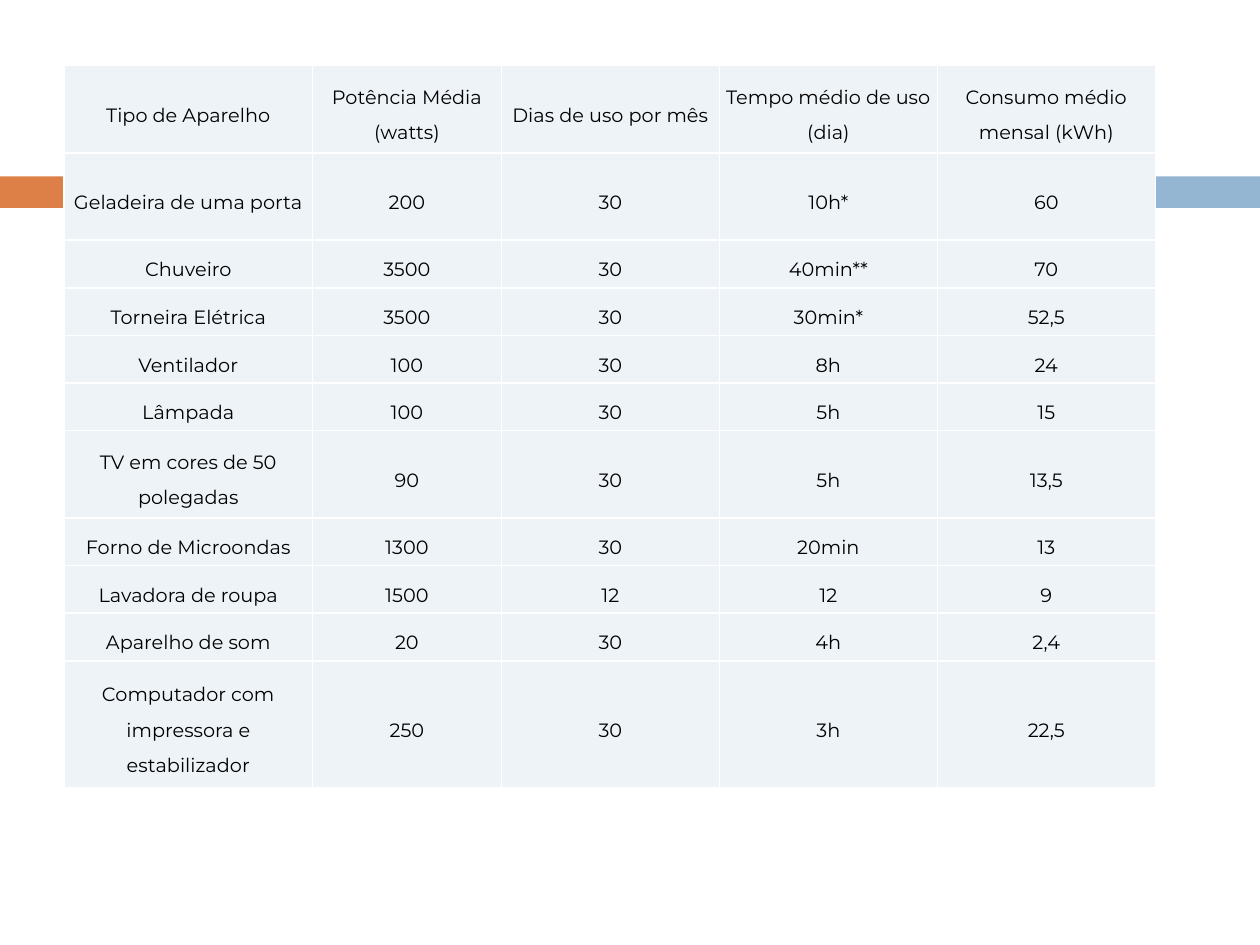
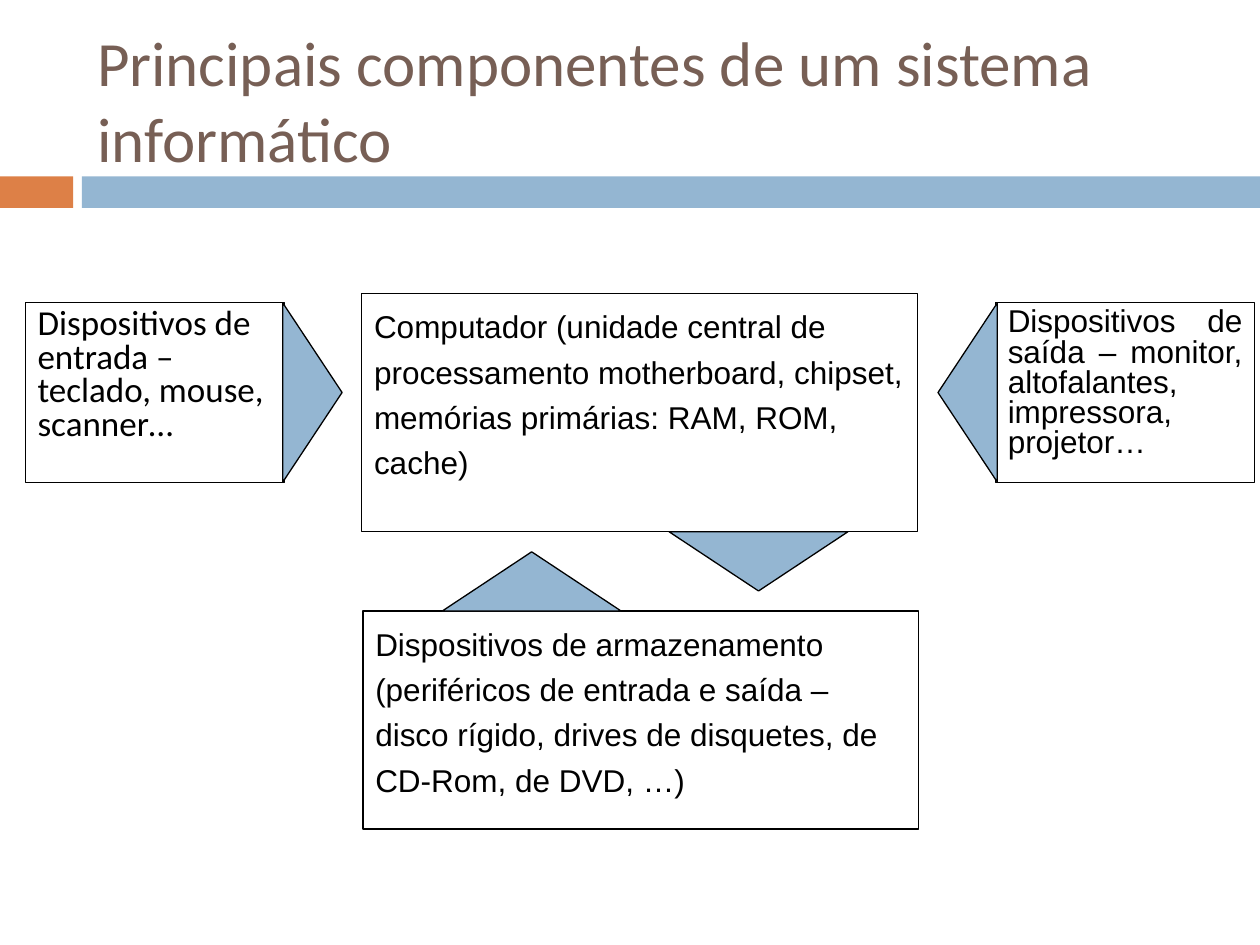
from dataclasses import dataclass

from lxml import etree
from pptx import Presentation
from pptx.dml.color import RGBColor
from pptx.enum.shapes import MSO_SHAPE
from pptx.enum.text import MSO_ANCHOR, MSO_AUTO_SIZE, PP_ALIGN
from pptx.oxml.ns import qn
from pptx.util import Inches, Pt

RECTANGLE, TRIANGLE = MSO_SHAPE.RECTANGLE, MSO_SHAPE.ISOSCELES_TRIANGLE
LEFT, CENTER, JUSTIFY = PP_ALIGN.LEFT, PP_ALIGN.CENTER, PP_ALIGN.JUSTIFY
TOP, MIDDLE = MSO_ANCHOR.TOP, MSO_ANCHOR.MIDDLE
TITLE_ONLY, BLANK = 5, 6

# The page is a grid of 100 columns by 75 rows of square units.
UNIT = Inches(0.1)
COLUMNS, ROWS = 100, 75


@dataclass(frozen=True)
class Theme:
    orange: RGBColor = RGBColor.from_string("DD8047")
    blue: RGBColor = RGBColor.from_string("94B6D2")
    brown: RGBColor = RGBColor.from_string("775F55")
    pale: RGBColor = RGBColor.from_string("EEF3F7")
    black: RGBColor = RGBColor.from_string("000000")
    border: str = "FFFFFF"
    title_size: int = 36
    input_size: int = 20
    box_size: int = 18
    table_size: int = 11
    line_width: float = 0.75


THEME = Theme()


def add_block(page, kind, left, top, width, height, fill=None, outlined=True):
    block = page.shapes.add_shape(kind, *(round(n * UNIT) for n in (left, top, width, height)))
    block.shadow.inherit = False
    if fill is None:
        block.fill.background()
    else:
        block.fill.solid()
        block.fill.fore_color.rgb = fill
    if outlined:
        block.line.color.rgb = THEME.black
        block.line.width = Pt(THEME.line_width)
    else:
        block.line.fill.background()
    return block


def write(frame, text, font, color=THEME.black, **para_format):
    """Put one formatted paragraph into a text frame."""
    para = frame.paragraphs[0]
    for name, value in para_format.items():
        setattr(para, name, value)
    span = para.add_run()
    span.text = text
    span.font.name, size = font
    span.font.size = Pt(size)
    span.font.color.rgb = color


deck = Presentation()
deck.slide_width, deck.slide_height = COLUMNS * UNIT, ROWS * UNIT
table_page, system_page = (
    deck.slides.add_slide(deck.slide_layouts[layout]) for layout in (BLANK, TITLE_ONLY)
)

# Bands shared by both slides
BAND_TOP, BAND_HEIGHT, BAND_SPLIT, BAND_GAP = 14, 2.5, 5.8, 0.7
blue_left = BAND_SPLIT + BAND_GAP
for page in (table_page, system_page):
    for left, width, color in (
        (0, BAND_SPLIT, THEME.orange),
        (blue_left, COLUMNS - blue_left, THEME.blue),
    ):
        add_block(page, RECTANGLE, left, BAND_TOP, width, BAND_HEIGHT, color, outlined=False)

# Slide 1: consumption table
appliances = [
    ("Tipo de Aparelho", "Potência Média (watts)", "Dias de uso por mês",
     "Tempo médio de uso (dia)", "Consumo médio mensal (kWh)"),
    ("Geladeira de uma porta", "200", "30", "10h*", "60"),
    ("Chuveiro", "3500", "30", "40min**", "70"),
    ("Torneira Elétrica", "3500", "30", "30min*", "52,5"),
    ("Ventilador", "100", "30", "8h", "24"),
    ("Lâmpada", "100", "30", "5h", "15"),
    ("TV em cores de 50 polegadas", "90", "30", "5h", "13,5"),
    ("Forno de Microondas", "1300", "30", "20min", "13"),
    ("Lavadora de roupa", "1500", "12", "12", "9"),
    ("Aparelho de som", "20", "30", "4h", "2,4"),
    ("Computador com impressora e estabilizador", "250", "30", "3h", "22,5"),
]
column_widths = [19.7, 15, 17.3, 17.3, 17.3]
LOW, TALL, TALLEST = 3.78, 6.93, 10.1
row_heights = [TALL] * 2 + [LOW] * 4 + [TALL] + [LOW] * 3 + [TALLEST]
cell_format = {
    "vertical_anchor": MIDDLE,
    **{f"margin_{side}": Inches(0.03) for side in ("left", "top", "right", "bottom")},
}

table = table_page.shapes.add_table(
    len(row_heights), len(column_widths),
    *(round(n * UNIT) for n in (5.1, 5.2, sum(column_widths), sum(row_heights))),
).table
for column, width in zip(table.columns, column_widths):
    column.width = round(width * UNIT)
for row, height, texts in zip(table.rows, row_heights, appliances):
    row.height = round(height * UNIT)
    for cell, text in zip(row.cells, texts):
        for name, value in cell_format.items():
            setattr(cell, name, value)
        write(cell.text_frame, text, ("Montserrat", THEME.table_size),
              alignment=CENTER, line_spacing=1.5)
        properties = cell._tc.get_or_add_tcPr()
        for edge in ("lnL", "lnR", "lnT", "lnB"):
            border = etree.SubElement(properties, qn(f"a:{edge}"), w=str(Pt(1)))
            solid = etree.SubElement(border, qn("a:solidFill"))
            etree.SubElement(solid, qn("a:srgbClr"), val=THEME.border)
        cell.fill.solid()
        cell.fill.fore_color.rgb = THEME.pale

# Slide 2: components of a computer system
title = system_page.shapes.title
for name, value in {"left": 6.7, "top": 2.5, "width": 89.2, "height": 10.8}.items():
    setattr(title, name, round(value * UNIT))
title.text_frame.auto_size = MSO_AUTO_SIZE.NONE
title.text_frame.vertical_anchor = MIDDLE
write(title.text_frame, "Principais componentes de um sistema informático",
      ("Calibri", THEME.title_size), THEME.brown, alignment=LEFT)

input_font, box_font = ("Calibri", THEME.input_size), ("Arial", THEME.box_size)
wide_format = {"alignment": LEFT, "line_spacing": 1.2, "space_before": Pt(9)}
components = [
    ((2, 24, 20.6, 14.3), "Dispositivos de entrada – teclado, mouse, scanner…", input_font,
     {"alignment": LEFT, "line_spacing": 0.8, "space_before": Pt(7)}),
    ((79, 24, 20.6, 14.3),
     "Dispositivos de saída – monitor, altofalantes, impressora, projetor…", box_font,
     {"alignment": JUSTIFY, "line_spacing": 0.8, "space_before": Pt(3.6)}),
    ((28.7, 23.3, 44.1, 18.9),
     "Computador (unidade central de processamento motherboard, chipset, "
     "memórias primárias: RAM, ROM, cache)", box_font, wide_format),
    ((28.8, 48.5, 44.1, 17.3),
     "Dispositivos de armazenamento (periféricos de entrada e saída – disco rígido, "
     "drives de disquetes, de CD-Rom, de DVD, …)", box_font, wide_format),
]
for area, text, font, para_format in components:
    box = add_block(system_page, RECTANGLE, *area)
    box.text_frame.word_wrap = True
    box.text_frame.vertical_anchor = TOP
    write(box.text_frame, text, font, **para_format)

# Flow triangles: centre column, centre row, rotation
BASE, DEPTH = 14.2, 4.7
for center_x, center_y, rotation in (
    (24.8, 31.15, 90), (76.8, 31.15, 270), (42.2, 46.15, 0), (60.2, 44.55, 180),
):
    triangle = add_block(system_page, TRIANGLE, center_x - BASE / 2, center_y - DEPTH / 2,
                         BASE, DEPTH, THEME.blue)
    triangle.rotation = rotation

deck.save("out.pptx")
